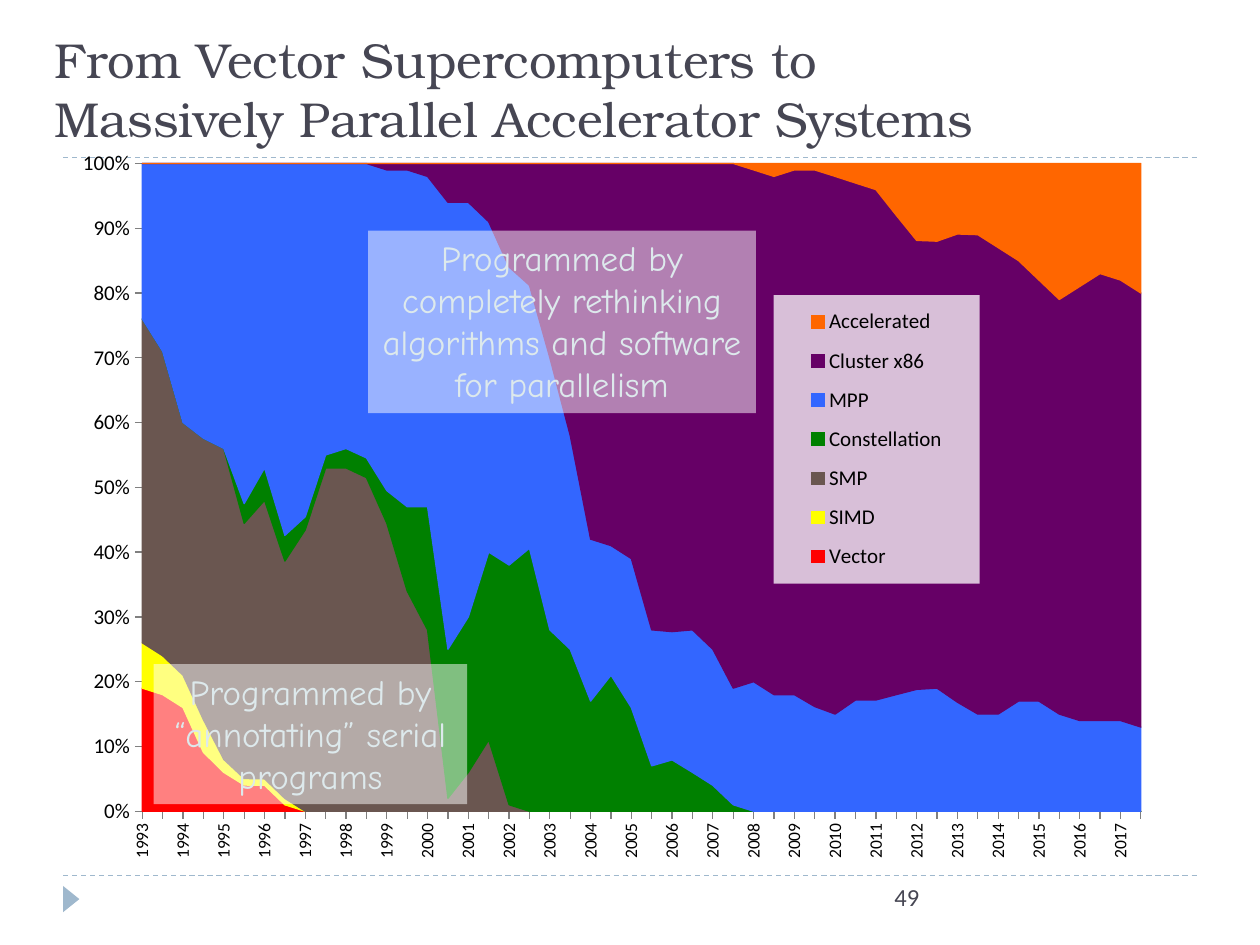
"""Build the slide on the shift from vector machines to accelerated systems."""
from dataclasses import dataclass

from lxml import etree
from pptx import Presentation
from pptx import util as u
from pptx.chart.data import CategoryChartData
from pptx.dml.color import RGBColor
from pptx.enum import chart as charts, dml, shapes, text
from pptx.oxml import parse_xml
from pptx.oxml.ns import nsdecls, qn

INK = RGBColor(0x46, 0x46, 0x53)
RULE = RGBColor(0x9F, 0xB8, 0xCD)
PALE = RGBColor(0xDD, 0xE9, 0xEC)
WHITE = RGBColor(0xFF, 0xFF, 0xFF)
BLACK = RGBColor(0x00, 0x00, 0x00)
GREY = RGBColor(0x80, 0x80, 0x80)
RED = RGBColor(0xFF, 0x00, 0x00)
YELLOW = RGBColor(0xFF, 0xFF, 0x00)
BROWN = RGBColor(0x6A, 0x56, 0x50)
GREEN = RGBColor(0x00, 0x80, 0x00)
BLUE = RGBColor(0x33, 0x66, 0xFF)
PURPLE = RGBColor(0x66, 0x00, 0x66)
ORANGE = RGBColor(0xFF, 0x66, 0x00)
HALF_YEARS = 50


@dataclass
class Box:
    left: float
    top: float
    width: float
    height: float

    def lengths(self) -> list:
        return [u.Cm(v) for v in (self.left, self.top, self.width, self.height)]


@dataclass
class Architecture:
    name: str
    color: RGBColor
    shares: list
    first: int = 0

    def values(self) -> list:
        known = [None] * self.first + self.shares
        return known + [0] * (HALF_YEARS - len(known))


@dataclass
class Callout:
    words: str
    box: Box


ARCHITECTURES = [
    Architecture("Vector", RED, [19, 18, 16, 9, 6, 4, 4, 1]),
    Architecture("SIMD", YELLOW, [7, 6, 5, 5, 2, 1, 1, 1]),
    Architecture("SMP", BROWN, [50, 47, 39, 43, 48, 39, 43, 37, 43, 53, 53, 51, 44,
                                34, 28, 2, 6, 11, 1]),
    Architecture("Constellation", GREEN, [0, 0, 0, 0, 0, 3, 5, 4, 2, 2, 3, 3, 5, 13, 19,
                                          23, 24, 29, 37, 41, 28, 25, 17, 21, 16, 7, 8,
                                          6, 4, 1]),
    Architecture("MPP", BLUE, [24, 29, 40, 42, 44, 52, 47, 58, 54, 45, 44, 45, 49, 52, 51,
                               69, 64, 51, 46, 41, 42, 33, 25, 20, 23, 21, 20, 22, 21, 18,
                               20, 18, 18, 16, 15, 17, 17, 18, 19, 19, 17, 15, 15, 17, 17,
                               15, 14, 14, 14, 13]),
    Architecture("Cluster x86", PURPLE, [0] * 12 + [
        1, 1, 2, 6, 6, 9, 16, 19, 30, 42, 58, 59, 61, 72, 73, 72, 75, 81, 79, 80, 81, 82,
        83, 79, 78, 74, 70, 69, 73, 74, 72, 68, 65, 64, 67, 69, 68, 67]),
    Architecture("Accelerated", ORANGE, [0, 0, 0, 0, 1, 2, 1, 1, 2, 3, 4, 8, 12, 12, 11,
                                         11, 13, 15, 18, 21, 19, 17, 18, 20], 26),
]
CALLOUTS = [
    Callout("Programmed by “annotating” serial programs", Box(3.1, 13.39, 6.32, 2.82)),
    Callout("Programmed by completely rethinking algorithms and software for parallelism",
            Box(7.42, 4.65, 7.82, 3.68)),
]


def apply(target, formats: dict) -> None:
    for attribute, value in formats.items():
        setattr(target, attribute, value)


def style_font(font, name: str, points: float, color: RGBColor) -> None:
    apply(font, {"name": name, "size": u.Pt(points), "bold": False})
    font.color.rgb = color


def set_opacity(properties, percent: int) -> None:
    for color in properties.iter(qn("a:srgbClr")):
        etree.SubElement(color, qn("a:alpha")).set("val", str(percent * 1000))


def manual_layout(target: str, **fractions: float):
    modes = '<c:xMode val="edge"/><c:yMode val="edge"/>'
    places = "".join(f'<c:{key} val="{value}"/>' for key, value in fractions.items())
    return parse_xml(f'<c:layout {nsdecls("c")}><c:manualLayout>{target}{modes}{places}'
                     "</c:manualLayout></c:layout>")


def draw_rule(slide, y: float) -> None:
    rule = slide.shapes.add_connector(shapes.MSO_CONNECTOR.STRAIGHT,
                                      u.Cm(1.27), u.Cm(y), u.Cm(24.13), u.Cm(y))
    rule.line.color.rgb = RULE
    apply(rule.line, {"width": u.Pt(0.75), "dash_style": dml.MSO_LINE.DASH})
    etree.SubElement(rule._element.spPr, qn("a:effectLst"))


def draw_solid(slide, kind, box: Box, color: RGBColor):
    solid = slide.shapes.add_shape(kind, *box.lengths())
    solid.shadow.inherit = False
    solid.fill.solid()
    solid.fill.fore_color.rgb = color
    solid.line.fill.background()
    return solid


def draw_callout(slide, callout: Callout) -> None:
    panel = draw_solid(slide, shapes.MSO_SHAPE.RECTANGLE, callout.box, WHITE)
    set_opacity(panel._element.spPr, 50)
    apply(panel.text_frame, {"word_wrap": True, "vertical_anchor": text.MSO_ANCHOR.TOP})
    words = panel.text_frame.paragraphs[0]
    apply(words, {"text": callout.words, "alignment": text.PP_ALIGN.CENTER,
                  "space_before": u.Pt(4)})
    style_font(words.runs[0].font, "Comic Neue", 20, PALE)


def style_legend(chart) -> None:
    chart.has_legend = True
    legend = chart.legend
    apply(legend, {"position": charts.XL_LEGEND_POSITION.RIGHT, "include_in_layout": False})
    style_font(legend.font, "Calibri", 12, BLACK)
    element = legend._element
    for old in element.findall(qn("c:layout")):
        element.remove(old)
    element.find(qn("c:legendPos")).addnext(
        manual_layout("", x=0.63, y=0.22, w=0.18, h=0.39))
    backing = parse_xml(f'<c:spPr {nsdecls("c", "a")}><a:solidFill><a:srgbClr val="{WHITE}"/>'
                        "</a:solidFill></c:spPr>")
    set_opacity(backing, 75)
    element.find(qn("c:overlay")).addnext(backing)


def draw_shares(slide, box: Box) -> None:
    data = CategoryChartData()
    data.categories = ["" if half % 2 else str(1993 + half // 2) for half in range(HALF_YEARS)]
    for architecture in ARCHITECTURES:
        data.add_series(architecture.name, architecture.values())
    chart = slide.shapes.add_chart(charts.XL_CHART_TYPE.AREA_STACKED_100,
                                   *box.lengths(), data).chart
    chart.has_title = False
    style_font(chart.font, "Calibri", 10, BLACK)
    chart.plots[0].vary_by_categories = False
    for series, architecture in zip(chart.plots[0].series, ARCHITECTURES):
        series.format.fill.solid()
        series.format.fill.fore_color.rgb = architecture.color
        series.format.line.color.rgb = architecture.color
        series.format.line.width = u.Pt(0.75)

    years, percent = chart.category_axis, chart.value_axis
    for axis, points, number_format in ((years, 10, "0"), (percent, 12, "0%")):
        apply(axis, {"major_tick_mark": charts.XL_TICK_MARK.OUTSIDE,
                     "minor_tick_mark": charts.XL_TICK_MARK.NONE})
        apply(axis.tick_labels, {"number_format": number_format,
                                 "number_format_is_linked": False})
        style_font(axis.tick_labels.font, "Calibri", points, BLACK)
        axis.format.line.color.rgb = GREY
    years.has_major_gridlines = False
    apply(percent, {"has_major_gridlines": True, "minimum_scale": 0, "maximum_scale": 1,
                    "major_unit": 0.1})
    percent.major_gridlines.format.line.color.rgb = GREY
    turned = years._element.find(qn("c:txPr")).find(qn("a:bodyPr"))
    turned.set("rot", "-5400000")
    turned.set("vert", "horz")
    percent._element.find(qn("c:crossBetween")).set("val", "midCat")

    plot_area = years._element.getparent()
    for old in plot_area.findall(qn("c:layout")):
        plot_area.remove(old)
    plot_area.insert(0, manual_layout('<c:layoutTarget val="inner"/>',
                                      x=0.078, y=0.042, w=0.873, h=0.876))
    style_legend(chart)


def main() -> None:
    deck = Presentation()
    apply(deck, {"slide_width": u.Cm(25.4), "slide_height": u.Cm(19.05)})
    slide = deck.slides.add_slide(deck.slide_layouts[5])
    for y in (17.65, 3.18):
        draw_rule(slide, y)
    marker = draw_solid(slide, shapes.MSO_SHAPE.ISOSCELES_TRIANGLE,
                        Box(1.17, 17.96, 0.53, 0.33), RULE)
    marker.rotation = 90

    title = slide.shapes.title
    apply(title, dict(zip(("left", "top", "width", "height"),
                          Box(0.84, -0.2, 19.48, 3.3).lengths())))
    apply(title.text_frame, {
        "text": "From Vector Supercomputers to Massively Parallel Accelerator Systems",
        "word_wrap": True, "auto_size": text.MSO_AUTO_SIZE.NONE,
        "vertical_anchor": text.MSO_ANCHOR.BOTTOM})
    heading = title.text_frame.paragraphs[0]
    heading.alignment = text.PP_ALIGN.LEFT
    style_font(heading.runs[0].font, "TeX Gyre Bonum", 28, INK)

    page = slide.shapes.add_textbox(*Box(17.78, 17.65, 6.35, 1.02).lengths()).text_frame
    apply(page, {"text": "49", "word_wrap": True})
    style_font(page.paragraphs[0].runs[0].font, "Calibri", 14, INK)

    draw_shares(slide, Box(1.07, 2.67, 23.06, 14.91))
    for callout in CALLOUTS:
        draw_callout(slide, callout)
    deck.save("out.pptx")


if __name__ == "__main__":
    main()
